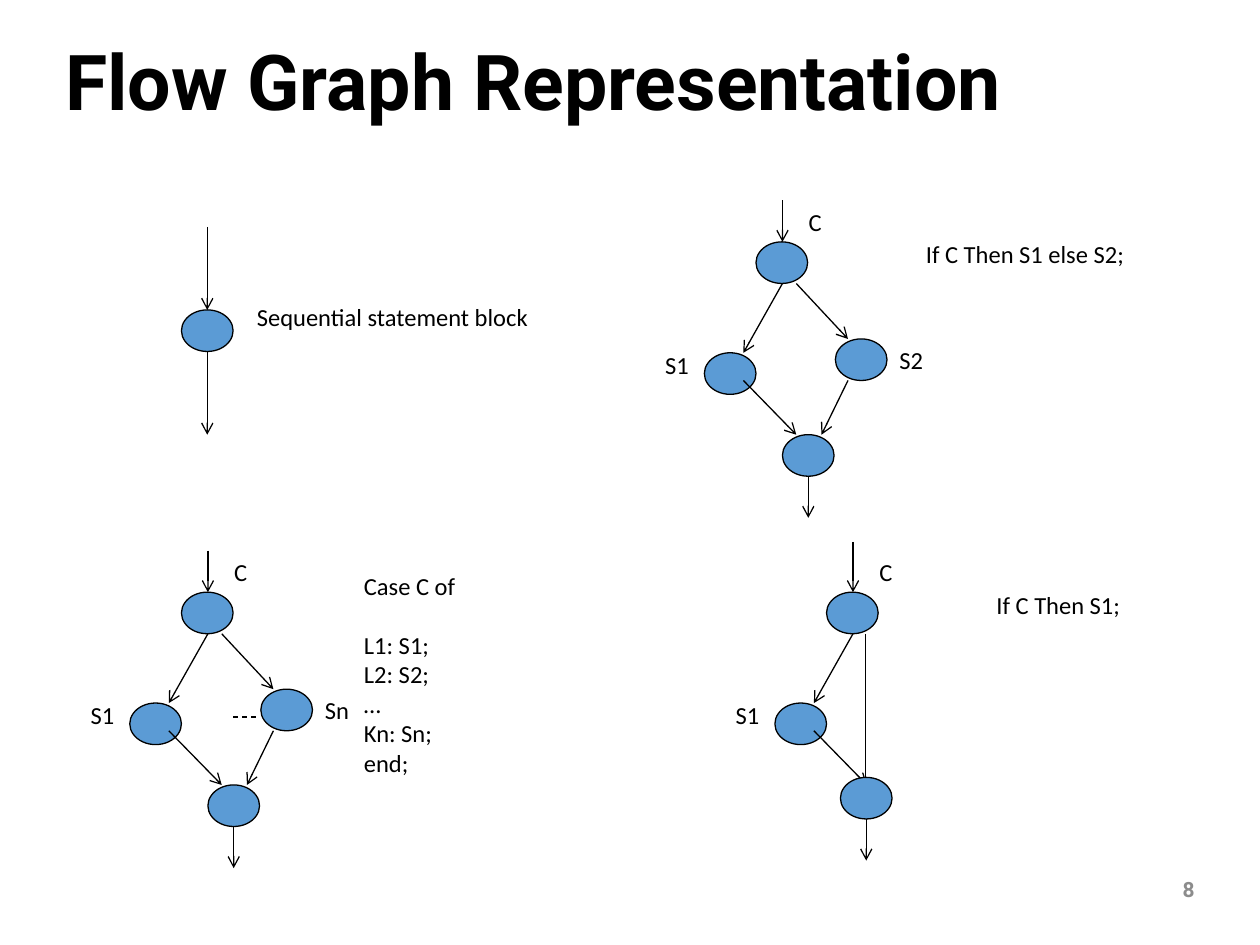
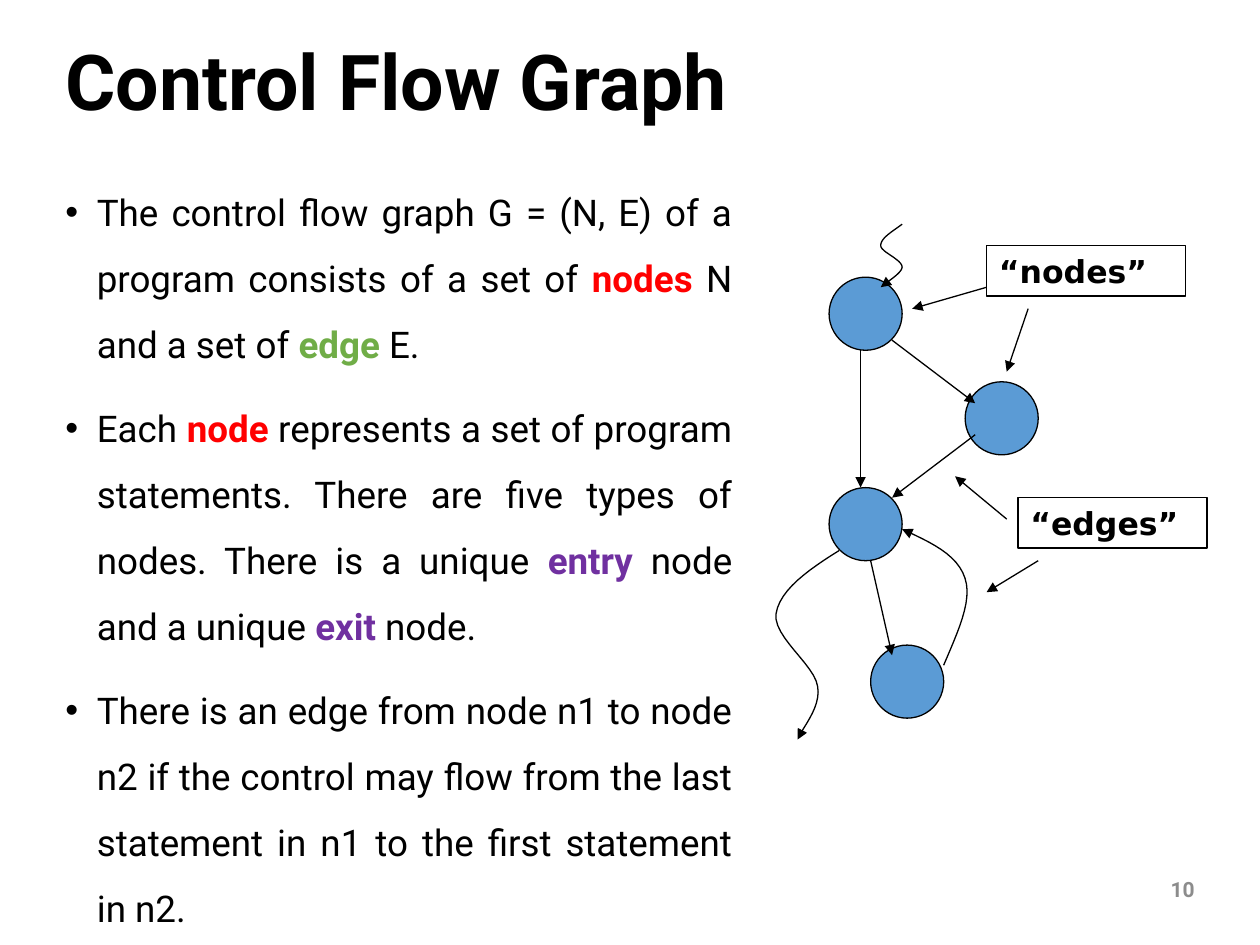
import pptx
import pptx.util
import pptx.dml.color
import pptx.enum.dml
import pptx.enum.shapes
import pptx.enum.text
import pptx.oxml.ns
from lxml import etree

Inches, Pt = pptx.util.Inches, pptx.util.Pt
RGB = pptx.dml.color.RGBColor
SHAPE = pptx.enum.shapes.MSO_SHAPE
ALIGN = pptx.enum.text.PP_ALIGN
ANCHOR = pptx.enum.text.MSO_ANCHOR
qn = pptx.oxml.ns.qn

BLACK = RGB(0x00, 0x00, 0x00)
BLUE = RGB(0x5B, 0x9B, 0xD5)
GRAY = RGB(0x8C, 0x8C, 0x8C)
RED = RGB(0xFF, 0x00, 0x00)
GREEN = RGB(0x70, 0xAD, 0x47)
PURPLE = RGB(0x70, 0x30, 0xA0)

NODE_W, NODE_H = 0.41, 0.33   # oval of the small graphs
DISC = 0.58                   # circle of the large graph


# ---- shared parts ----
def style(run, size, font, color=BLACK, bold=False):
    run.font.size = Pt(size)
    run.font.name = font
    run.font.color.rgb = color
    run.font.bold = bold


def write(slide, box, text, size, font, color=BLACK, bold=False,
          align=ALIGN.LEFT, anchor=ANCHOR.TOP):
    frame = slide.shapes.add_textbox(*map(Inches, box)).text_frame
    frame.word_wrap = True
    frame.vertical_anchor = anchor
    frame.text = text
    for par in frame.paragraphs:
        par.alignment = align
        for run in par.runs:
            style(run, size, font, color, bold)
    return frame


def label(slide, x, y, text, width=0.52, height=0.44):
    return write(slide, (x, y, width, height), text, 14, "Calibri")


def ink(item, head=None):
    """Thin black line, with an arrowhead at its end if one is named."""
    item.line.color.rgb = BLACK
    item.line.width = Pt(0.75)
    if head:
        tail = etree.SubElement(item.line._get_or_add_ln(), qn("a:tailEnd"))
        tail.set("type", head)


def link(slide, x, y, ends, head="arrow"):
    x1, y1, x2, y2 = ends
    line = slide.shapes.add_connector(
        pptx.enum.shapes.MSO_CONNECTOR.STRAIGHT,
        Inches(x + x1), Inches(y + y1), Inches(x + x2), Inches(y + y2))
    ink(line, head)
    etree.SubElement(line._element.spPr, qn("a:effectLst"))
    return line


def oval(slide, x, y, width=NODE_W, height=NODE_H):
    node = slide.shapes.add_shape(
        SHAPE.OVAL, Inches(x), Inches(y), Inches(width), Inches(height))
    node.shadow.inherit = False
    node.fill.solid()
    node.fill.fore_color.rgb = BLUE
    ink(node)


def start(deck, title, number):
    slide = deck.slides.add_slide(deck.slide_layouts[6])
    head = write(slide, (0.42, 0.29, 9.15, 0.78), title, 44, "Roboto",
                 bold=True, anchor=ANCHOR.MIDDLE)
    head.paragraphs[0].line_spacing = 0.9
    write(slide, (8.51, 6.86, 1.07, 0.4), number, 12, "Roboto", GRAY, True,
          ALIGN.RIGHT, ANCHOR.MIDDLE)
    return slide


# ---- small graphs; x, y is the corner of the top node ----
def block(slide, x, y):
    mid = NODE_W / 2
    oval(slide, x, y)
    link(slide, x, y, (mid, -0.66, mid, 0))
    link(slide, x, y, (mid, NODE_H, mid, 0.99))
    label(slide, x + 0.5, y - 0.11, "Sequential statement block", 2.92)


def branch(slide, x, y, foot, rise=0.33):
    """Condition, left statement and the node where the paths join."""
    fx, fy = foot
    oval(slide, x, y)
    oval(slide, x - 0.41, y + 0.88)
    link(slide, x, y, (0.21, -rise, 0.21, 0))
    link(slide, x, y, (0.21, 0.33, -0.1, 0.88))
    link(slide, x, y, (-0.1, 1.1, 0.32, 1.53))
    oval(slide, x + fx, y + fy)
    out = fx + NODE_W / 2
    link(slide, x, y, (out, fy + NODE_H, out, fy + 2 * NODE_H))
    label(slide, x + 0.32, y - 0.33, "C")
    label(slide, x - 0.82, y + 0.81, "S1")


def diamond(slide, x, y, right):
    branch(slide, x, y, (0.21, 1.53))
    oval(slide, x + 0.63, y + 0.77)
    link(slide, x, y, (0.32, 0.33, 0.73, 0.77))
    link(slide, x, y, (0.73, 1.1, 0.52, 1.53))
    label(slide, x + 1.04, y + 0.77, right)


def choice(slide, x, y):
    diamond(slide, x, y, "S2")
    label(slide, x + 1.25, y - 0.07, "If C Then S1 else S2;", 2.38)


def case(slide, x, y):
    diamond(slide, x, y, "Sn")
    dash = link(slide, x, y, (NODE_W, 0.99, 0.62, 0.99), None)
    dash.end_x = Inches(x + 0.62)
    dash.line.dash_style = pptx.enum.dml.MSO_LINE.DASH
    code = label(slide, x + 1.35, y - 0.22,
                 "Case C of\nL1: S1;\nL2: S2;\n…\nKn: Sn;\nend;", 1.66, 2.28)
    code.paragraphs[1].space_before = Pt(17)


def guard(slide, x, y):
    link(slide, x, y, (0.31, 0.33, 0.31, 1.47), None)
    branch(slide, x, y, (0.11, 1.47), 0.4)
    label(slide, x + 1.25, y - 0.07, "If C Then S1;", 1.62)


# ---- bullets ----
POINTS = [
    [("The control flow graph G = (N, E) of a program consists of a set of ",),
     ("nodes", RED), (" N and a set of ",), ("edge ", GREEN), ("E.",)],
    [("Each ",), ("node", RED),
     (" represents a set of program statements. There are five types of "
      "nodes. There is a unique ",),
     ("entry ", PURPLE), ("node and a unique ",), ("exit ", PURPLE),
     ("node.",)],
    [("There is an edge from node n1 to node n2 if the control may flow from "
      "the last statement in n1 to the first statement in n2.",)],
]


def bullets(slide, box):
    frame = slide.shapes.add_textbox(*map(Inches, box)).text_frame
    frame.word_wrap = True
    for i, parts in enumerate(POINTS):
        par = frame.add_paragraph() if i else frame.paragraphs[0]
        par.alignment = ALIGN.JUSTIFY
        par.line_spacing = 1.5
        par.space_before = Pt(10)
        props = par._p.get_or_add_pPr()
        props.set("marL", str(Inches(0.25)))
        props.set("indent", str(-Inches(0.25)))
        etree.SubElement(props, qn("a:buFont")).set("typeface", "Arial")
        etree.SubElement(props, qn("a:buChar")).set("char", "•")
        for text, *tint in parts:
            run = par.add_run()
            run.text = text
            style(run, 21, "Roboto", tint[0] if tint else BLACK, bool(tint))


# ---- large graph; places count from the corner of its box ----
DISCS = [(0.45, 0.42), (0.45, 2.09), (1.53, 1.25), (0.78, 3.34)]
EDGES = [(0.95, 0.92, 1.61, 1.42), (1.61, 1.67, 0.95, 2.17),
         (0.7, 1, 0.7, 2.09), (0.78, 2.67, 0.95, 3.42)]
HINTS = [(1.7, 0.5, 1.11, 0.67), (2.03, 0.67, 1.86, 1.17),
         (1.86, 2.34, 1.45, 2), (2.11, 2.67, 1.7, 2.92)]
# start point, then two control points and an end for each bend
CURVES = [
    [(1.36, 3.5), (1.47, 3.24), (1.59, 2.99), (1.53, 2.81),
     (1.47, 2.62), (1.25, 2.52), (1.03, 2.42)],
    [(1.03, 0), (0.95, 0.06), (0.86, 0.11), (0.86, 0.17),
     (0.86, 0.22), (1.03, 0.28), (1.03, 0.34),
     (1.03, 0.39), (0.89, 0.47), (0.86, 0.5)],
    [(0.53, 2.59), (0.29, 2.74), (0.06, 2.9), (0.03, 3.09),
     (0, 3.27), (0.34, 3.5), (0.36, 3.67),
     (0.39, 3.84), (0.22, 4.02), (0.2, 4.09)],
]
TAGS = [("“nodes”", 1.7, 0.17, 1.58), ("“edges”", 1.95, 2.17, 1.5)]


def bend(a, b, c, d, t):
    """Point at share t of a cubic curve."""
    s = 1 - t
    return tuple(s**3 * p + 3 * s * s * t * q + 3 * s * t * t * r + t**3 * e
                 for p, q, r, e in zip(a, b, c, d))


def curve(slide, x, y, knots, steps=12):
    spots = [bend(*knots[i:i + 4], n / steps)
             for i in range(0, len(knots) - 1, 3)
             for n in range(1, steps + 1)]
    spots = [(Inches(x + px), Inches(y + py)) for px, py in spots]
    maker = slide.shapes.build_freeform(
        Inches(x + knots[0][0]), Inches(y + knots[0][1]))
    maker.add_line_segments(spots, close=False)
    wave = maker.convert_to_shape()
    wave.shadow.inherit = False
    wave.fill.background()
    ink(wave, "triangle")


def tag(slide, x, y, text, width):
    box = slide.shapes.add_shape(
        SHAPE.RECTANGLE, Inches(x), Inches(y), Inches(width), Inches(0.4))
    box.shadow.inherit = False
    box.fill.background()
    ink(box)
    frame = box.text_frame
    frame.text = text
    frame.vertical_anchor = ANCHOR.TOP
    frame.paragraphs[0].alignment = ALIGN.LEFT
    style(frame.paragraphs[0].runs[0], 18, "DejaVu Sans", bold=True)


def graph(slide, x, y):
    for dx, dy in DISCS:
        oval(slide, x + dx, y + dy, DISC, DISC)
    for ends in EDGES + HINTS:
        link(slide, x, y, ends, "triangle")
    for knots in CURVES:
        curve(slide, x, y, knots)
    for text, dx, dy, width in TAGS:
        tag(slide, x + dx, y + dy, text, width)


def main():
    deck = pptx.Presentation()
    deck.slide_width, deck.slide_height = Inches(10), Inches(7.5)

    forms = start(deck, "Flow Graph Representation", "8")
    block(forms, 1.44, 2.46)
    choice(forms, 6, 1.92)
    case(forms, 1.44, 4.7)
    guard(forms, 6.56, 4.7)

    flow = start(deck, "Control Flow Graph", "10")
    bullets(flow, (0.42, 1.28, 5.49, 5.99))
    graph(flow, 6.13, 1.78)
    deck.save("out.pptx")


if __name__ == "__main__":
    main()
